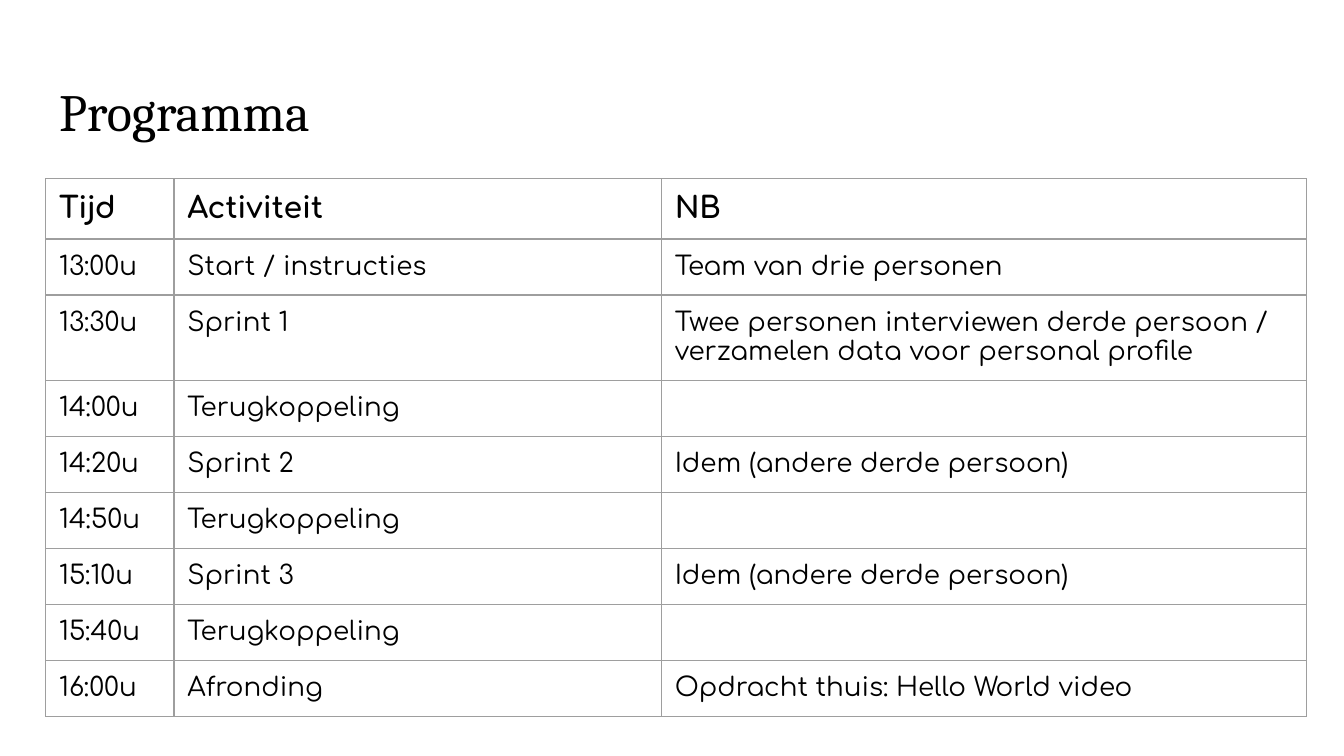
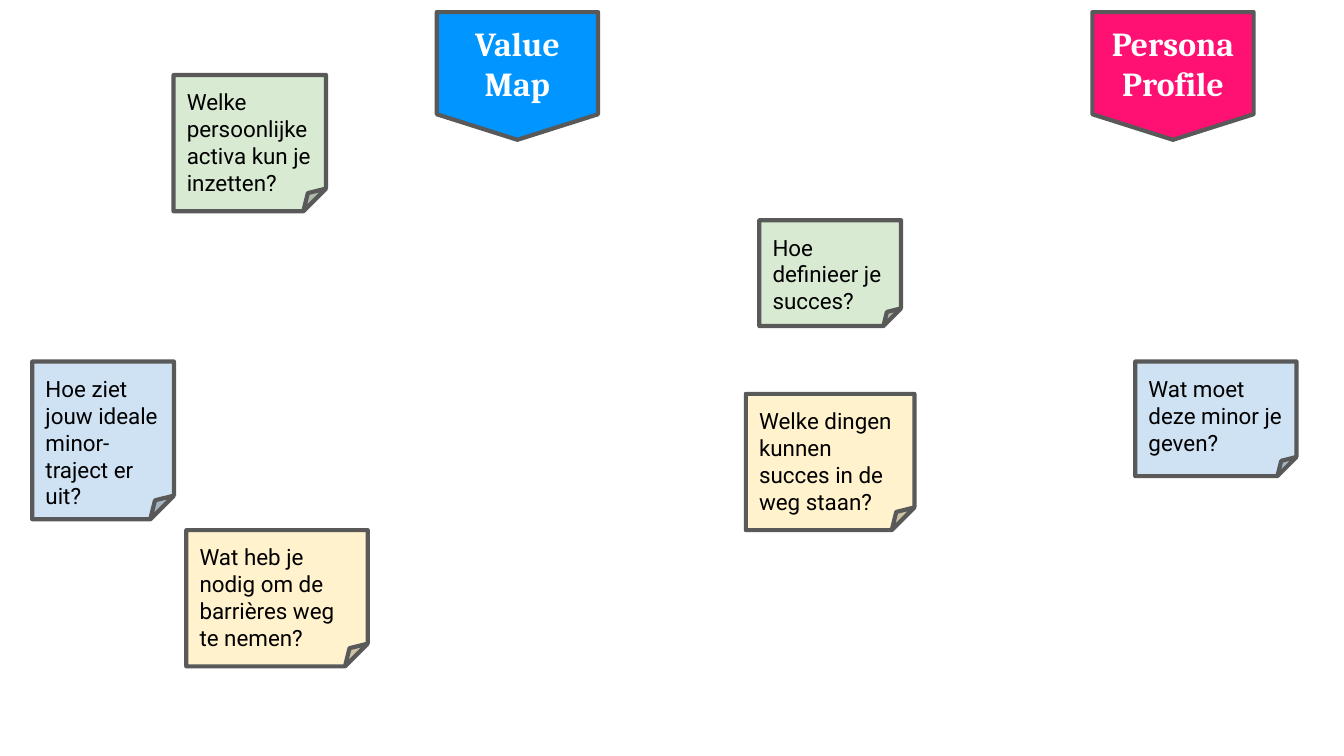
"""Two workshop slides: the programme table and the sticky-note canvas."""
from typing import NamedTuple

from lxml import etree
from pptx import Presentation
from pptx import util as u
from pptx.dml.color import RGBColor
from pptx.enum import shapes, text
from pptx.oxml.ns import qn

Pt = u.Pt
COLORS = {
    "ink": "000000", "white": "FFFFFF", "grid": "9E9E9E", "outline": "595959",
    "blue": "CFE2F3", "green": "D9EAD3", "yellow": "FFF2CC",
    "pink": "FF1073", "azure": "0095FF",
}
HEADING, TABLE_FONT, NOTE_FONT = "Cambria", "Comfortaa", "Roboto"
INSET = Pt(7.2)

COLUMNS = (68.7, 261.1, 345.6)
ROW_HEIGHT, TALL_ROW_HEIGHT, TALL_ROW = 28.8, 44.6, 2
FEEDBACK, AGAIN = "Terugkoppeling", "Idem (andere derde persoon)"
PROGRAMME = (
    ("Tijd", "Activiteit", "NB"),
    ("13:00u", "Start / instructies", "Team van drie personen"),
    ("13:30u", "Sprint 1", "Twee personen interviewen derde persoon / "
                           "verzamelen data voor personal profile"),
    ("14:00u", FEEDBACK, ""),
    ("14:20u", "Sprint 2", AGAIN),
    ("14:50u", FEEDBACK, ""),
    ("15:10u", "Sprint 3", AGAIN),
    ("15:40u", FEEDBACK, ""),
    ("16:00u", "Afronding", "Opdracht thuis: Hello World video"),
)


class Note(NamedTuple):
    """A sticky note with a question; lengths in points."""
    x: float
    y: float
    w: float
    h: float
    fill: str
    words: str


class Banner(NamedTuple):
    """A pointed heading at the top of the canvas."""
    x: float
    fill: str
    words: str


NOTES = (
    Note(17.3, 193.7, 75.9, 84.5, "blue",
         "Hoe ziet jouw ideale minor-\ntraject er uit?"),
    Note(93, 40.2, 81.7, 73, "green",
         "Welke persoonlijke activa kun je inzetten?"),
    Note(99.8, 284, 97.2, 73, "yellow",
         "Wat heb je nodig om de barrières weg te nemen?"),
    Note(399.6, 211, 90.3, 73, "yellow",
         "Welke dingen kunnen succes in de weg staan?"),
    Note(406.8, 118, 75.9, 56.7, "green", "Hoe definieer je succes?"),
    Note(608.2, 193.7, 86.4, 61.4, "blue", "Wat moet deze minor je geven?"),
)
BANNERS = (
    Banner(585.2, "pink", "Persona Profile"),
    Banner(234, "azure", "Value\nMap"),
)
BANNER_Y, BANNER_W, BANNER_H = 6.5, 86.4, 68.4


def rgb(name: str) -> RGBColor:
    """Look up a named colour."""
    return RGBColor.from_string(COLORS[name])


def write(tf, words: str, font: str, size: float, color: str = "ink",
          bold: bool = False, align=text.PP_ALIGN.LEFT) -> None:
    """Fill a text frame, one paragraph per line, in a single style."""
    tf.text = words
    for p in tf.paragraphs:
        p.alignment = align
        p.font.name, p.font.size, p.font.bold = font, Pt(size), bold
        p.font.color.rgb = rgb(color)


def set_insets(frame) -> None:
    """Give a text frame or table cell the common inner margins."""
    frame.margin_left = frame.margin_right = INSET
    frame.margin_top = frame.margin_bottom = INSET


def add_title(s, words: str) -> None:
    """Place and style the title placeholder."""
    sp = s.shapes.title
    sp.left, sp.top, sp.width, sp.height = Pt(24.5), Pt(35.3), Pt(671), Pt(45.4)
    tf = sp.text_frame
    write(tf, words, HEADING, 28)
    set_insets(tf)
    tf.auto_size = text.MSO_AUTO_SIZE.NONE
    tf.vertical_anchor = text.MSO_ANCHOR.TOP


def add_borders(cell) -> None:
    """Draw a thin line on all four sides of a cell."""
    tc_pr = cell._tc.get_or_add_tcPr()
    for i, side in enumerate(("a:lnL", "a:lnR", "a:lnT", "a:lnB")):
        ln = etree.Element(qn(side), w=str(Pt(0.75)))
        fill = etree.SubElement(ln, qn("a:solidFill"))
        etree.SubElement(fill, qn("a:srgbClr"), val=COLORS["grid"])
        tc_pr.insert(i, ln)


def add_programme(s) -> None:
    """Build the timetable."""
    heights = [TALL_ROW_HEIGHT if i == TALL_ROW else ROW_HEIGHT
               for i in range(len(PROGRAMME))]
    table = s.shapes.add_table(len(PROGRAMME), len(COLUMNS), Pt(24.5), Pt(95.8),
                               Pt(sum(COLUMNS)), Pt(sum(heights))).table
    table.first_row = table.horz_banding = False
    for column, width in zip(table.columns, COLUMNS):
        column.width = Pt(width)
    for i, (row, height) in enumerate(zip(table.rows, heights)):
        row.height = Pt(height)
        header = i == 0
        for cell, words in zip(row.cells, PROGRAMME[i]):
            cell.fill.background()
            add_borders(cell)
            if words:
                set_insets(cell)
                write(cell.text_frame, words, TABLE_FONT,
                      16 if header else 14, bold=header)


def add_card(s, kind, x: float, y: float, w: float, h: float, fill: str):
    """Add an outlined shape and return its text frame."""
    sp = s.shapes.add_shape(kind, Pt(x), Pt(y), Pt(w), Pt(h))
    sp.shadow.inherit = False
    sp.fill.solid()
    sp.fill.fore_color.rgb = rgb(fill)
    sp.line.color.rgb = rgb("outline")
    sp.line.width = Pt(2.25)
    tf = sp.text_frame
    tf.word_wrap = True
    set_insets(tf)
    return tf


def add_note(s, note: Note) -> None:
    """Draw a sticky note."""
    tf = add_card(s, shapes.MSO_SHAPE.FOLDED_CORNER, note.x, note.y,
                  note.w, note.h, note.fill)
    tf.vertical_anchor = text.MSO_ANCHOR.TOP
    write(tf, note.words, NOTE_FONT, 12)


def add_banner(s, banner: Banner) -> None:
    """Draw a pointed heading."""
    tf = add_card(s, shapes.MSO_SHAPE.FLOWCHART_OFFPAGE_CONNECTOR, banner.x,
                  BANNER_Y, BANNER_W, BANNER_H, banner.fill)
    tf.vertical_anchor = text.MSO_ANCHOR.MIDDLE
    write(tf, banner.words, HEADING, 18, "white", True, text.PP_ALIGN.CENTER)


def main() -> None:
    """Build and save the presentation."""
    prs = Presentation()
    prs.slide_width, prs.slide_height = Pt(720), Pt(405)
    title_only, blank = prs.slide_layouts[5], prs.slide_layouts[6]

    s = prs.slides.add_slide(title_only)
    add_title(s, "Programma")
    add_programme(s)

    s = prs.slides.add_slide(blank)
    for note in NOTES:
        add_note(s, note)
    for banner in BANNERS:
        add_banner(s, banner)

    prs.save("out.pptx")


main()
